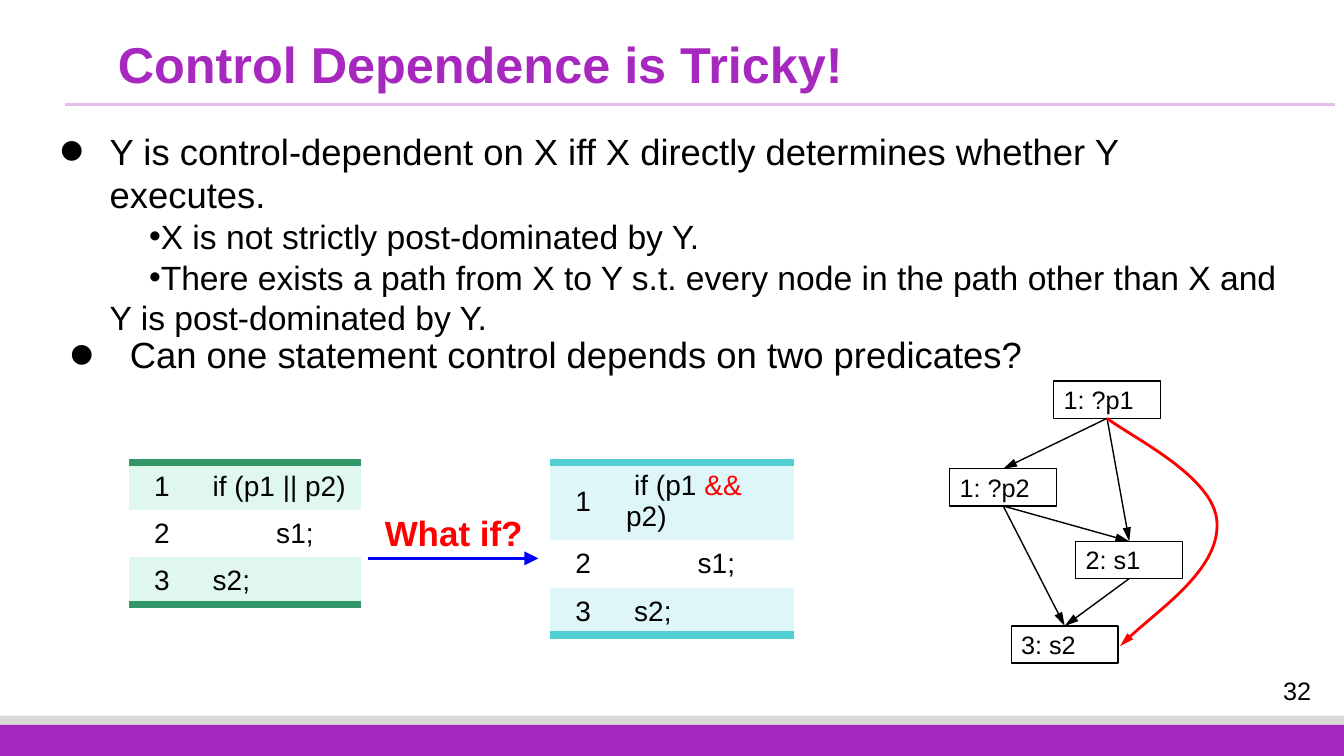
from dataclasses import dataclass

from lxml.etree import SubElement
from pptx import Presentation
from pptx.dml.color import RGBColor
from pptx.enum.shapes import MSO_CONNECTOR, MSO_SHAPE
from pptx.enum.text import MSO_ANCHOR, PP_ALIGN
from pptx.oxml.ns import qn
from pptx.util import Emu, Pt

EMU_PER_PX = 9144  # 100 px to the inch
TOP, BOTTOM = 0, 2
NO_TABLE_STYLE = "{2D5ABB26-0587-4C30-8999-92F81FD0307C}"


@dataclass(frozen=True)
class Theme:
    font: str = "Arial"
    purple: str = "A728BE"
    pale_purple: str = "E4BFEA"
    grey: str = "D9D9D9"
    black: str = "000000"
    white: str = "FFFFFF"
    red: str = "FF0000"
    blue: str = "0000FF"
    green: str = "339669"
    pale_green: str = "E0F7EF"
    teal: str = "53CED5"
    pale_teal: str = "DEF6F7"
    title_size: int = 36
    body_size: int = 26
    detail_size: int = 24
    question_size: int = 25
    code_size: int = 20
    label_size: int = 18


THEME = Theme()


def px(length):
    return Emu(length * EMU_PER_PX)


def rgb(colour):
    return RGBColor.from_string(colour)


def add_run(paragraph, text, size, colour=THEME.black, bold=False):
    run = paragraph.add_run()
    run.text = text
    run.font.name = THEME.font
    run.font.size = Pt(size)
    run.font.bold = bold
    run.font.color.rgb = rgb(colour)


def set_indent(paragraph, margin, first_line):
    properties = paragraph._p.get_or_add_pPr()
    properties.set("marL", str(px(margin)))
    properties.set("indent", str(px(first_line)))


def add_bullet(paragraph, text, size, margin, first_line, bullet_percent=100):
    set_indent(paragraph, margin, first_line)
    properties = paragraph._p.get_or_add_pPr()
    SubElement(properties, qn("a:buSzPct")).set("val", str(bullet_percent * 1000))
    SubElement(properties, qn("a:buFont")).set("typeface", THEME.font)
    SubElement(properties, qn("a:buChar")).set("char", "•")
    add_run(paragraph, text, size)


def add_text_box(slide, left, top, width, height, anchor=MSO_ANCHOR.TOP):
    box = slide.shapes.add_textbox(px(left), px(top), px(width), px(height))
    box.text_frame.word_wrap = True
    box.text_frame.vertical_anchor = anchor
    return box.text_frame


def add_bar(slide, top, height, colour):
    shape = slide.shapes.add_shape(
        MSO_SHAPE.RECTANGLE, 0, px(top), px(1333), px(height))
    shape.shadow.inherit = False
    shape.fill.solid()
    shape.fill.fore_color.rgb = rgb(colour)
    shape.line.fill.background()


def style_line(shape, colour, width, head_width=None):
    shape.line.color.rgb = rgb(colour)
    shape.line.width = Pt(width)
    if head_width:
        head = SubElement(shape.line._get_or_add_ln(), qn("a:tailEnd"))
        head.set("type", "triangle")
        head.set("w", head_width)
        head.set("len", "lg")


def add_line(slide, start, end, colour, width, head_width=None):
    connector = slide.shapes.add_connector(
        MSO_CONNECTOR.STRAIGHT, *map(px, (*start, *end)))
    style_line(connector, colour, width, head_width)
    SubElement(connector._element.spPr, qn("a:effectLst"))
    return connector


def add_node(slide, text, left, top):
    shape = slide.shapes.add_shape(
        MSO_SHAPE.RECTANGLE, px(left), px(top), px(106), px(37))
    shape.shadow.inherit = False
    shape.fill.background()
    style_line(shape, THEME.black, 1)
    shape.text_frame.vertical_anchor = MSO_ANCHOR.MIDDLE
    paragraph = shape.text_frame.paragraphs[0]
    paragraph.alignment = PP_ALIGN.LEFT
    add_run(paragraph, text, THEME.label_size)
    return shape


def add_edge(slide, source, target):
    connector = add_line(slide, (0, 0), (0, 0), THEME.black, 1, "med")
    connector.begin_connect(source, BOTTOM)
    connector.end_connect(target, TOP)


def add_curve(slide, start, controls, colour, width):
    builder = slide.shapes.build_freeform(*start, scale=EMU_PER_PX)
    builder.add_line_segments(controls, close=False)
    shape = builder.convert_to_shape()
    shape.shadow.inherit = False
    shape.fill.background()
    style_line(shape, colour, width, "med")
    # Turn every three points into one cubic segment
    outline = next(shape._element.iter(qn("a:path")))
    segments = outline.findall(qn("a:lnTo"))
    for index, segment in enumerate(segments):
        if index % 3 == 0:
            cubic = SubElement(outline, qn("a:cubicBezTo"))
        cubic.append(segment[0])
        outline.remove(segment)


def set_border(cell, side, colour):
    border = SubElement(cell._tc.get_or_add_tcPr(), qn(side))
    border.set("w", str(Pt(6)))
    fill = SubElement(border, qn("a:solidFill"))
    SubElement(fill, qn("a:srgbClr")).set("val", colour)


def add_code_table(slide, left, code_width, row_heights, condition, accent, band):
    lines = [(condition, 8), ([("s1;", THEME.black)], 71), ([("s2;", THEME.black)], 8)]
    widths = (65, code_width)
    frame = slide.shapes.add_table(
        len(lines), 2, px(left), px(459), px(sum(widths)), px(sum(row_heights)))
    table = frame.table
    table.first_row = table.horz_banding = False
    table._tbl.tblPr.find(qn("a:tableStyleId")).text = NO_TABLE_STYLE
    for column, width in zip(table.columns, widths):
        column.width = px(width)
    for index, (runs, first_line) in enumerate(lines):
        table.rows[index].height = px(row_heights[index])
        number, code = table.cell(index, 0), table.cell(index, 1)
        for cell in (number, code):
            cell.vertical_anchor = MSO_ANCHOR.MIDDLE
            if index == 0:
                set_border(cell, "a:lnT", accent)
            if index == len(lines) - 1:
                set_border(cell, "a:lnB", accent)
            cell.fill.solid()
            cell.fill.fore_color.rgb = rgb(THEME.white if index % 2 else band)
        paragraph = number.text_frame.paragraphs[0]
        paragraph.alignment = PP_ALIGN.CENTER
        add_run(paragraph, str(index + 1), THEME.code_size)
        paragraph = code.text_frame.paragraphs[0]
        set_indent(paragraph, 0, first_line)
        for text, colour in runs:
            add_run(paragraph, text, THEME.code_size, colour)


def add_frame(slide):
    add_bar(slide, 710, 40, THEME.grey)
    add_bar(slide, 719, 31, THEME.purple)
    add_line(slide, (64, 104), (1324, 104), THEME.pale_purple, 2.25)
    number = add_text_box(slide, 1241, 665, 91, 39, MSO_ANCHOR.MIDDLE).paragraphs[0]
    number.alignment = PP_ALIGN.CENTER
    add_run(number, "32", THEME.label_size)
    title = add_text_box(slide, 107, 35, 1137, 48).paragraphs[0]
    title.line_spacing = 0.9
    add_run(title, "Control Dependence is Tricky!", THEME.title_size, THEME.purple, True)


def add_definition(slide):
    body = add_text_box(slide, 49, 123, 1236, 167)
    add_bullet(body.paragraphs[0],
               "Y is control-dependent on X iff X directly determines whether Y executes.",
               THEME.body_size, 50, -50, 200)
    for detail in ("X is not strictly post-dominated by Y.",
                   "There exists a path from X to Y s.t. every node in the path "
                   "other than X and Y is post-dominated by Y."):
        add_bullet(body.add_paragraph(), detail, THEME.detail_size, 50, 39)
    question = add_text_box(slide, 59, 325, 1083, 54)
    add_bullet(question.paragraphs[0],
               "Can one statement control depends on two predicates?",
               THEME.body_size, 60, -60, 200)


def add_code_comparison(slide):
    add_code_table(slide, 128, 165, (47, 47, 47), [("if (p1 || p2)", THEME.black)],
                   THEME.green, THEME.pale_green)
    add_code_table(slide, 546, 177, (77, 47, 47),
                   [("if (p1 ", THEME.black), ("&&", THEME.red), (" p2)", THEME.black)],
                   THEME.teal, THEME.pale_teal)
    label = add_text_box(slide, 348, 503, 204, 52).paragraphs[0]
    label.alignment = PP_ALIGN.CENTER
    add_run(label, "What if?", THEME.question_size, THEME.red, True)
    add_line(slide, (365, 554), (534, 554), THEME.blue, 2, "lg")


def add_flow_graph(slide):
    first = add_node(slide, "1: ?p1", 1045, 378)
    second = add_node(slide, "1: ?p2", 942, 465)
    inner = add_node(slide, "2: s1", 1067, 537)
    last = add_node(slide, "3: s2", 1003, 621)
    for source, target in ((first, second), (first, inner), (second, inner),
                           (second, last), (inner, last)):
        add_edge(slide, source, target)
    add_curve(slide, (1098, 415),
              [(1121, 433), (1205, 473), (1207, 518),
               (1210, 564), (1139, 612), (1111, 641)], THEME.red, 2)


def main():
    presentation = Presentation()
    presentation.slide_width, presentation.slide_height = px(1333), px(750)
    slide = presentation.slides.add_slide(presentation.slide_layouts[6])
    add_frame(slide)
    add_definition(slide)
    add_code_comparison(slide)
    add_flow_graph(slide)
    presentation.save("out.pptx")


if __name__ == "__main__":
    main()
